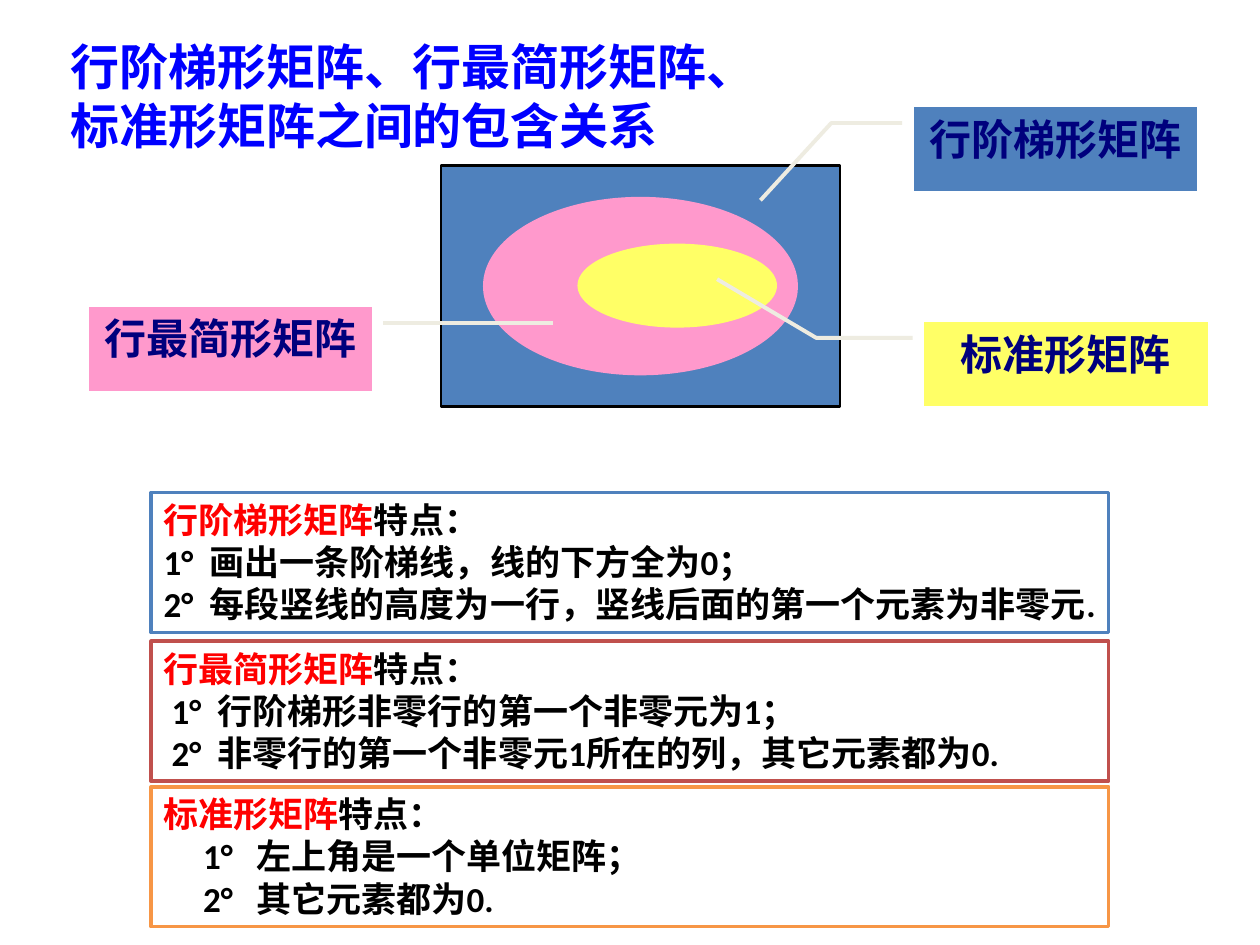
from pptx import Presentation
from pptx.dml.color import RGBColor
from pptx.enum.shapes import MSO_SHAPE
from pptx.enum.text import MSO_ANCHOR, PP_ALIGN
from pptx.util import Pt

RECT, OVAL = MSO_SHAPE.RECTANGLE, MSO_SHAPE.OVAL
CALLOUT = MSO_SHAPE.LINE_CALLOUT_2_NO_BORDER
TOP = MSO_ANCHOR.TOP
LEFT, CENTER = PP_ALIGN.LEFT, PP_ALIGN.CENTER

BLUE, PINK, YELLOW = "4F81BD", "FF99CC", "FFFF66"
BLACK, RED, WHITE = "000000", "FF0000", "FFFFFF"


def rgb(value):
    return RGBColor.from_string(value)


class SlideBuilder:
    font = "Calibri"
    title_color, label_color, leader_color = "0000FF", "00007D", "EEECE1"

    def __init__(self, slide):
        self.slide = slide

    def style(self, p, size, color, align=LEFT):
        p.alignment = align
        p.font.name, p.font.size, p.font.bold = self.font, Pt(size), True
        if color:
            p.font.color.rgb = rgb(color)

    def shape(self, kind, box, fill, line=None, width=1):
        sp = self.slide.shapes.add_shape(kind, *map(Pt, box))
        sp.shadow.inherit = False
        sp.fill.solid()
        sp.fill.fore_color.rgb = rgb(fill)
        if line:
            sp.line.color.rgb = rgb(line)
            sp.line.width = Pt(width)
        else:
            sp.line.fill.background()
        return sp

    def title(self, box, text):
        tf = self.slide.shapes.add_textbox(*map(Pt, box)).text_frame
        tf.word_wrap = True
        p = tf.paragraphs[0]
        p.text = text
        self.style(p, 28, self.title_color)

    def callout(self, left, top, text, fill, leader):
        """Label whose leader runs through (x, y) points given as shares of its size."""
        sp = self.shape(CALLOUT, (left, top, 162, 48), fill, self.leader_color, 2.25)
        for i, (x, y) in enumerate(leader):
            sp.adjustments[2 * i] = y
            sp.adjustments[2 * i + 1] = x
        tf = sp.text_frame
        tf.vertical_anchor = TOP
        p = tf.paragraphs[0]
        p.text = text
        self.style(p, 24, self.label_color, CENTER)

    def features(self, box, line, name, items, number_at, text_at):
        """Framed list: coloured name, then numbered items with a hanging indent."""
        tf = self.shape(RECT, box, WHITE, line, 2).text_frame
        tf.vertical_anchor = TOP
        tf.margin_right = 0
        p = tf.paragraphs[0]
        for text, color in ((name, RED), ("特点：", BLACK)):
            r = p.add_run()
            r.text = text
            r.font.color.rgb = rgb(color)
        self.style(p, 20, None)
        for number, item in enumerate(items, 1):
            p = tf.add_paragraph()
            p.text = f"{number}°\t{item}"
            pPr = p._p.get_or_add_pPr()
            pPr.set("marL", str(Pt(text_at)))
            pPr.set("indent", str(Pt(number_at - text_at)))
            self.style(p, 20, BLACK)


def main():
    prs = Presentation()
    prs.slide_width, prs.slide_height = Pt(720), Pt(540)
    s = SlideBuilder(prs.slides.add_slide(prs.slide_layouts[6]))

    s.shape(RECT, (252, 94.5, 228, 138), BLUE, BLACK, 1.5)
    s.callout(522, 61.2, "行阶梯形矩阵", BLUE,
              [(-0.04, 0.19), (-0.29, 0.19), (-0.54, 1.11)])
    s.shape(OVAL, (276, 112.5, 180, 102), PINK)
    s.callout(50.6, 175.2, "行最简形矩阵", PINK,
              [(1.04, 0.19), (1.34, 0.19), (1.64, 0.19)])
    s.shape(OVAL, (330, 139.2, 114, 48), YELLOW)
    s.callout(528, 184, "标准形矩阵", YELLOW,
              [(-0.04, 0.19), (-0.38, 0.19), (-0.73, -0.51)])

    s.title((33.2, 17.3, 396.7, 75), "行阶梯形矩阵、行最简形矩阵、标准形矩阵之间的包含关系")

    groups = [
        (281.5, BLUE, "行阶梯形矩阵",
         ["画出一条阶梯线，线的下方全为0；",
          "每段竖线的高度为一行，竖线后面的第一个元素为非零元."], 0, 26.3),
        (366.4, "C0504D", "行最简形矩阵",
         ["行阶梯形非零行的第一个非零元为1；",
          "非零行的第一个非零元1所在的列，其它元素都为0."], 4.6, 30.9),
        (449.6, "F79646", "标准形矩阵",
         ["左上角是一个单位矩阵；", "其它元素都为0."], 22.6, 53),
    ]
    for top, *content in groups:
        s.features((86.4, top, 547.2, 80), *content)

    prs.save("out.pptx")


if __name__ == "__main__":
    main()
